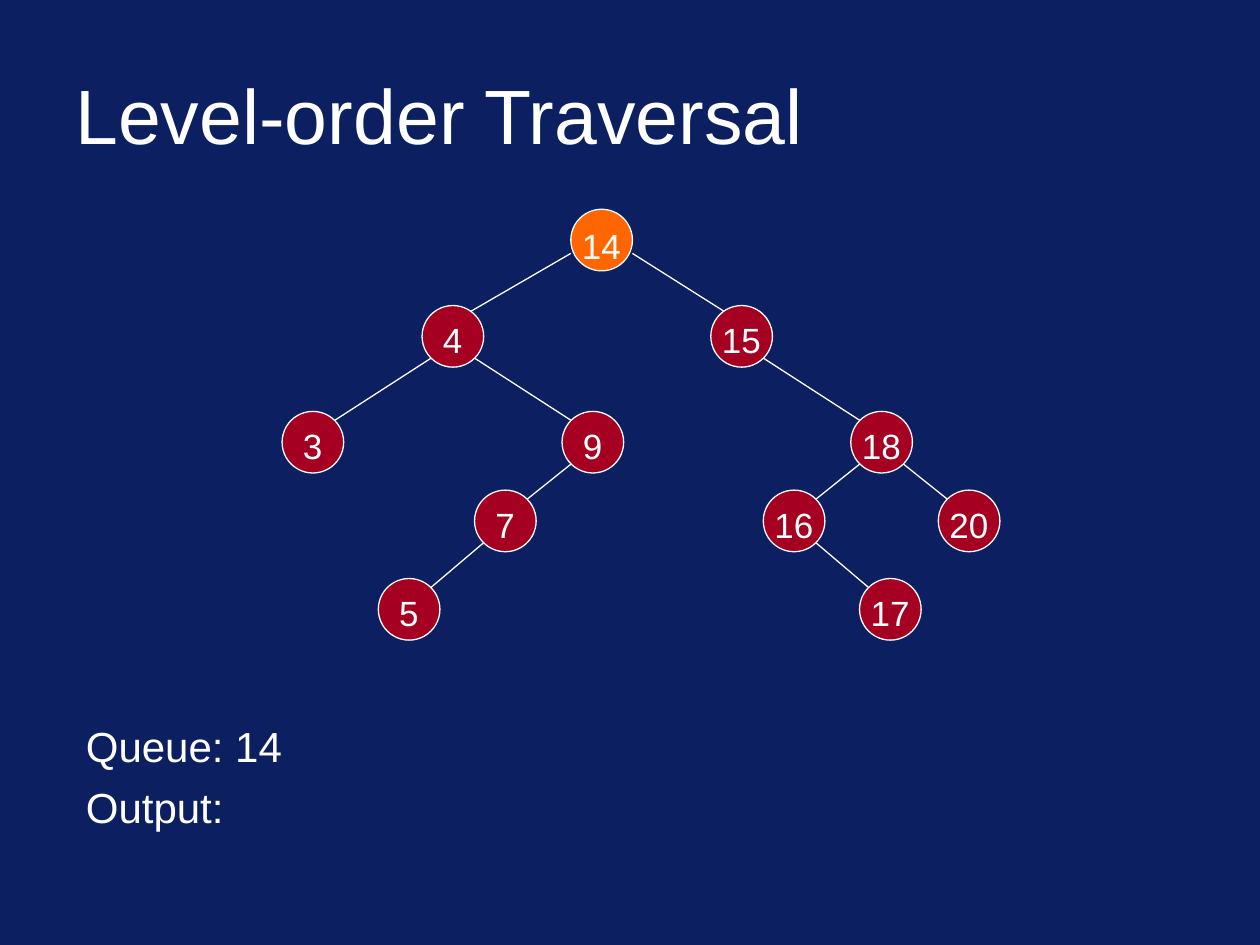
from lxml import etree
from pptx import Presentation
from pptx.dml.color import RGBColor
from pptx.enum.shapes import MSO_CONNECTOR, MSO_SHAPE
from pptx.enum.text import MSO_ANCHOR, MSO_AUTO_SIZE, PP_ALIGN
from pptx.oxml.ns import qn
from pptx.util import Pt

COLORS = {"background": "0B1F61", "white": "FFFFFF", "node": "A50021", "queued": "FF6600"}
FONT = "Arial"
DIAMETER = 35.2
RADIUS = DIAMETER / 2
DIAGONAL = 12.5  # offset of the 45-degree points on a node's rim
LINE_WIDTH = 0.75

LEVEL_TOPS = [0, 55, 115.5, 160.5, 211]
# value: (left, level, parent)
NODES = {
    14: (165, 0, None),
    4: (80, 1, 14),
    15: (245, 1, 14),
    3: (0, 2, 4),
    9: (160, 2, 4),
    18: (325, 2, 15),
    7: (110, 3, 9),
    16: (275, 3, 18),
    20: (375, 3, 18),
    5: (55, 4, 7),
    17: (330, 4, 16),
}


def color(name):
    return RGBColor.from_string(COLORS[name])


def add_text(shapes, box, lines, size, anchor=MSO_ANCHOR.TOP):
    """Add a wrapped white text box and return its text frame."""
    frame = shapes.add_textbox(*map(Pt, box)).text_frame
    frame.word_wrap = True
    frame.vertical_anchor = anchor
    frame.text = "\n".join(lines)
    for paragraph in frame.paragraphs:
        font = paragraph.font
        font.name, font.size = FONT, Pt(size)
        font.color.rgb = color("white")
    return frame


def add_status(slide, box):
    """Add the queue and output lines."""
    frame = add_text(slide.shapes, box, ["Queue: 14", "Output:"], 24)
    for position, paragraph in enumerate(frame.paragraphs):
        properties = paragraph._p.get_or_add_pPr()
        properties.set("marL", str(Pt(27)))
        properties.set("indent", str(-Pt(27)))
        if position:
            paragraph.space_before = Pt(6)


def add_edge(slide, start, end):
    edge = slide.shapes.add_connector(MSO_CONNECTOR.STRAIGHT, *map(Pt, start + end))
    edge.line.color.rgb = color("white")
    edge.line.width = Pt(LINE_WIDTH)
    etree.SubElement(edge._element.spPr, qn("a:effectLst"))


def add_node(slide, left, top, value, fill):
    shapes = slide.shapes.add_group_shape().shapes
    disc = shapes.add_shape(MSO_SHAPE.OVAL, *map(Pt, (left, top, DIAMETER, DIAMETER)))
    disc.shadow.inherit = False
    disc.fill.solid()
    disc.fill.fore_color.rgb = color(fill)
    disc.line.color.rgb = color("white")
    disc.line.width = Pt(LINE_WIDTH)
    label_top = top + (5 if fill == "queued" else 4)
    label = add_text(shapes, (left - 5, label_top, 45, 31.5), [str(value)], 20)
    label.auto_size = MSO_AUTO_SIZE.SHAPE_TO_FIT_TEXT
    label.paragraphs[0].alignment = PP_ALIGN.CENTER


def add_tree(slide, left, top):
    """Draw the edges first, so that the nodes cover their ends."""
    corners = {value: (left + x, top + LEVEL_TOPS[level])
               for value, (x, level, _) in NODES.items()}
    for value, (_, _, parent) in NODES.items():
        if parent is None:
            continue
        (x, y), (parent_x, parent_y) = corners[value], corners[parent]
        side = 1 if x > parent_x else -1
        from_root = NODES[parent][2] is None
        out_x, out_y = (RADIUS, 7.6) if from_root else (DIAGONAL, DIAGONAL)
        in_x = 7.2 if from_root else DIAGONAL
        add_edge(slide,
                 (parent_x + RADIUS + side * out_x, parent_y + RADIUS + out_y),
                 (x + RADIUS - side * in_x, y + RADIUS - DIAGONAL))
    for value, (x, y) in corners.items():
        add_node(slide, x, y, value, "queued" if value == 14 else "node")


def main():
    deck = Presentation()
    deck.slide_width, deck.slide_height = Pt(720), Pt(540)
    slide = deck.slides.add_slide(deck.slide_layouts[6])
    slide.background.fill.solid()
    slide.background.fill.fore_color.rgb = color("background")
    add_text(slide.shapes, (36, 29, 648, 72), ["Level-order Traversal"], 44, MSO_ANCHOR.MIDDLE)
    add_status(slide, (42, 408, 648, 72))
    add_tree(slide, 161.2, 119.6)
    deck.save("out.pptx")


if __name__ == "__main__":
    main()
